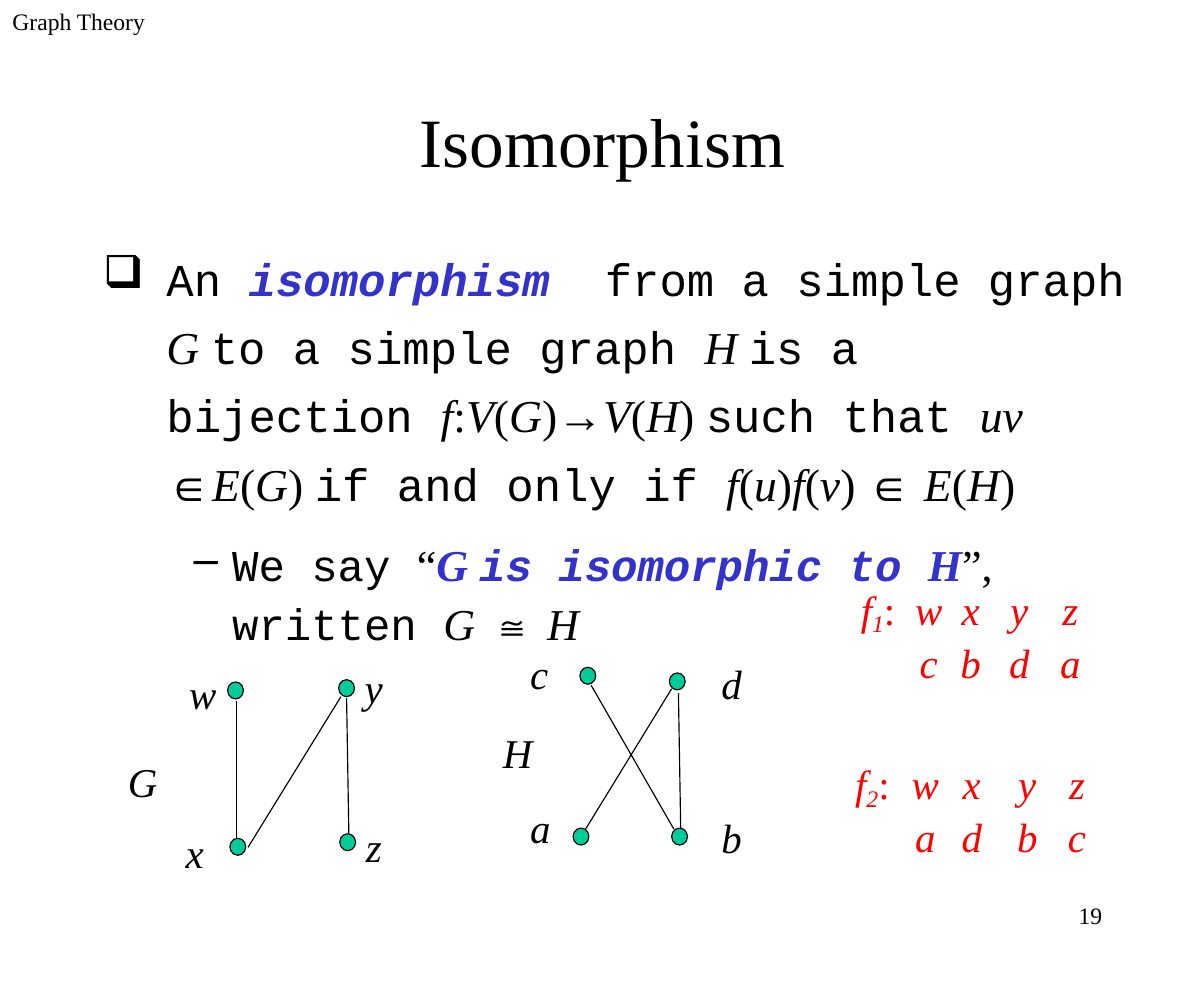
from dataclasses import dataclass
from itertools import groupby

import lxml.etree
import pptx
import pptx.dml.color
import pptx.enum.shapes
import pptx.enum.text
import pptx.oxml.ns
import pptx.util

Inches = pptx.util.Inches
Pt = pptx.util.Pt
Align = pptx.enum.text.PP_ALIGN
Anchor = pptx.enum.text.MSO_ANCHOR
Point = tuple[float, float]
Box = tuple[float, float, float, float]

COLORS = {"text": "000000", "term": "3333CC", "mapping": "FF0000", "node": "00CC99"}
SERIF, MONO, SYMBOL = "Times New Roman", "Courier New", "Arial"
NODE_WIDTH, NODE_HEIGHT = 0.14, 0.15


@dataclass(frozen=True)
class Run:
    text: str
    font: str = SERIF
    italic: bool = False
    bold: bool = False
    color: str = "text"
    baseline: int = 0


@dataclass(frozen=True)
class Label:
    text: str
    left: float
    top: float
    width: float = 0.5


@dataclass(frozen=True)
class Graph:
    nodes: list[Point]
    edges: list[tuple[Point, Point]]
    labels: list[Label]


@dataclass(frozen=True)
class Mapping:
    index: str
    box: Box
    vertices: str
    images: str
    columns: list[float]


GRAPHS = [
    Graph(
        nodes=[(2.01, 6.02), (2.03, 7.4), (2.99, 6), (3, 7.36)],
        edges=[((3.06, 6.16), (3.08, 7.36)), ((2.09, 6.19), (2.09, 7.41)),
               ((2.19, 7.48), (3.01, 6.15))],
        labels=[Label("G", 1.02, 6.62, 0.72), Label("w", 1.56, 5.84), Label("x", 1.53, 7.25),
                Label("z", 3.12, 7.19), Label("y", 3.11, 5.79)],
    ),
    Graph(
        nodes=[(5.12, 5.89), (5.91, 5.94), (5.06, 7.31), (5.93, 7.31)],
        edges=[((5.99, 6.12), (6.01, 7.32)), ((5.22, 6.05), (5.95, 7.32)),
               ((5.17, 7.32), (5.93, 6.08))],
        labels=[Label("H", 4.33, 6.36, 0.72), Label("c", 4.57, 5.67), Label("d", 6.26, 5.75),
                Label("b", 6.26, 7.11), Label("a", 4.57, 7.03)],
    ),
]
MAPPINGS = [
    Mapping("1", (7.49, 5.1, 2.26, 1.01), "wxyz", "cbda", [0.6, 0.97, 1.4, 1.85]),
    Mapping("2", (7.44, 6.64, 2.4, 1.01), "wxyz", "adbc", [0.62, 1.03, 1.52, 1.96]),
]


def formula(text: str) -> list[Run]:
    """Set letters in italics, relation signs in the symbol font, the rest upright."""
    def style(character: str) -> tuple[str, bool]:
        return (SYMBOL if character in "→∈≅" else SERIF, character.isalpha())

    return [Run("".join(part), font, italic) for (font, italic), part in groupby(text, style)]


def color(name: str) -> pptx.dml.color.RGBColor:
    return pptx.dml.color.RGBColor.from_string(COLORS[name])


def add_element(parent, tag: str, **attributes: str):
    return lxml.etree.SubElement(parent, pptx.oxml.ns.qn(tag), attributes)


def add_tabs(paragraph, positions: list[float], alignment: str) -> None:
    tabs = add_element(paragraph._p.get_or_add_pPr(), "a:tabLst")
    for position in positions:
        add_element(tabs, "a:tab", pos=str(int(Inches(position))), algn=alignment)


def add_bullet(paragraph, character: str, left: float, hanging: float) -> None:
    properties = paragraph._p.get_or_add_pPr()
    properties.set("marL", str(int(Inches(left))))
    properties.set("indent", str(int(Inches(-hanging))))
    add_element(add_element(properties, "a:buClr"), "a:srgbClr", val=COLORS["text"])
    add_element(properties, "a:buChar", char=character)


def add_runs(paragraph, runs: list[Run], size: float) -> None:
    for item in runs:
        run = paragraph.add_run()
        run.text = item.text
        run.font.name = item.font
        run.font.size = Pt(size)
        run.font.italic = item.italic
        run.font.bold = item.bold
        run.font.color.rgb = color(item.color)
        if item.baseline:
            run._r.get_or_add_rPr().set("baseline", str(item.baseline * 1000))


def set_frame(shape, anchor=Anchor.TOP):
    frame = shape.text_frame
    frame.word_wrap = True
    frame.vertical_anchor = anchor
    frame.margin_left = frame.margin_right = Inches(0.11)
    frame.margin_top = frame.margin_bottom = Inches(0.06)
    return frame


def add_text(slide, box: Box, runs: list[Run], size: float, alignment=Align.LEFT):
    frame = set_frame(slide.shapes.add_textbox(*map(Inches, box)))
    frame.paragraphs[0].alignment = alignment
    add_runs(frame.paragraphs[0], runs, size)
    return frame


def add_title(slide, text: str) -> None:
    title = slide.shapes.title
    title.left, title.top, title.width, title.height = map(Inches, (0.8, 0.67, 9.04, 1.13))
    paragraph = set_frame(title, Anchor.MIDDLE).paragraphs[0]
    paragraph.alignment = Align.CENTER
    add_runs(paragraph, [Run(text)], 44)


def add_definition(slide) -> None:
    frame = add_text(slide, (0.8, 2.03, 9.29, 5.68), [], 29)
    definition = frame.paragraphs[0]
    definition.line_spacing = 1.25
    add_bullet(definition, "❑", 0.56, 0.56)
    add_tabs(definition, [4.43], "l")
    add_runs(definition, [
        Run("An ", MONO), Run("isomorphism", MONO, True, True, "term"),
        Run("\tfrom a simple graph ", MONO), *formula("G "),
        Run("to a simple graph ", MONO), *formula("H "),
        Run("is a bijection ", MONO), *formula("f:V(G)→V(H) "),
        Run("such that ", MONO), *formula("uv ∈E(G) "),
        Run("if and only if ", MONO), *formula("f(u)f(v) ∈ E(H)"),
    ], 29)

    notation = frame.add_paragraph()
    notation.level = 1
    notation.line_spacing = 1.1
    notation.space_before = Pt(14)
    add_bullet(notation, "–", 1.14, 0.34)
    add_tabs(notation, [3.42, 3.92], "l")
    add_runs(notation, [
        Run("We say ", MONO), Run("“"), Run("G ", SERIF, True, True, "term"),
        Run("is isomorphic to ", MONO, True, True, "term"),
        Run("H", SERIF, True, True, "term"), Run("”, "),
        Run("written ", MONO), *formula("G\t≅\tH"),
    ], 28)


def add_graph(slide, graph: Graph) -> None:
    group = slide.shapes.add_group_shape()
    for left, top in graph.nodes:
        node = group.shapes.add_shape(
            pptx.enum.shapes.MSO_SHAPE.OVAL,
            *map(Inches, (left, top, NODE_WIDTH, NODE_HEIGHT)))
        node.shadow.inherit = False
        node.fill.solid()
        node.fill.fore_color.rgb = color("node")
        node.line.color.rgb = color("text")
        node.line.width = Pt(0.75)
    for start, end in graph.edges:
        edge = group.shapes.add_connector(
            pptx.enum.shapes.MSO_CONNECTOR.STRAIGHT, *map(Inches, start + end))
        edge.line.color.rgb = color("text")
        edge.line.width = Pt(0.75)
        add_element(edge._element.spPr, "a:effectLst")
    for label in graph.labels:
        add_text(slide, (label.left, label.top, label.width, 0.54), formula(label.text), 26)


def add_mapping(slide, mapping: Mapping) -> None:
    """Line up each vertex above its image with centred tab stops."""
    frame = add_text(slide, mapping.box, [], 26)
    name = [Run("f", italic=True, color="mapping"),
            Run(mapping.index, italic=True, color="mapping", baseline=-18),
            Run(":", color="mapping")]
    rows = [(frame.paragraphs[0], name, mapping.vertices),
            (frame.add_paragraph(), [], mapping.images)]
    for paragraph, start, letters in rows:
        add_tabs(paragraph, mapping.columns, "ctr")
        cells = "".join(f"\t{letter}" for letter in letters)
        add_runs(paragraph, [*start, Run(cells, italic=True, color="mapping")], 26)


def main() -> None:
    presentation = pptx.Presentation()
    presentation.slide_width, presentation.slide_height = Inches(10.63), Inches(8.66)
    slide = presentation.slides.add_slide(presentation.slide_layouts[5])
    add_text(slide, (0, 0, 2.22, 0.58), [Run("Graph Theory")], 15)
    add_text(slide, (7.62, 7.89, 2.22, 0.58), [Run("19")], 15, Align.RIGHT)
    add_title(slide, "Isomorphism")
    add_definition(slide)
    for graph in GRAPHS:
        add_graph(slide, graph)
    for mapping in MAPPINGS:
        add_mapping(slide, mapping)
    presentation.save("out.pptx")


if __name__ == "__main__":
    main()
